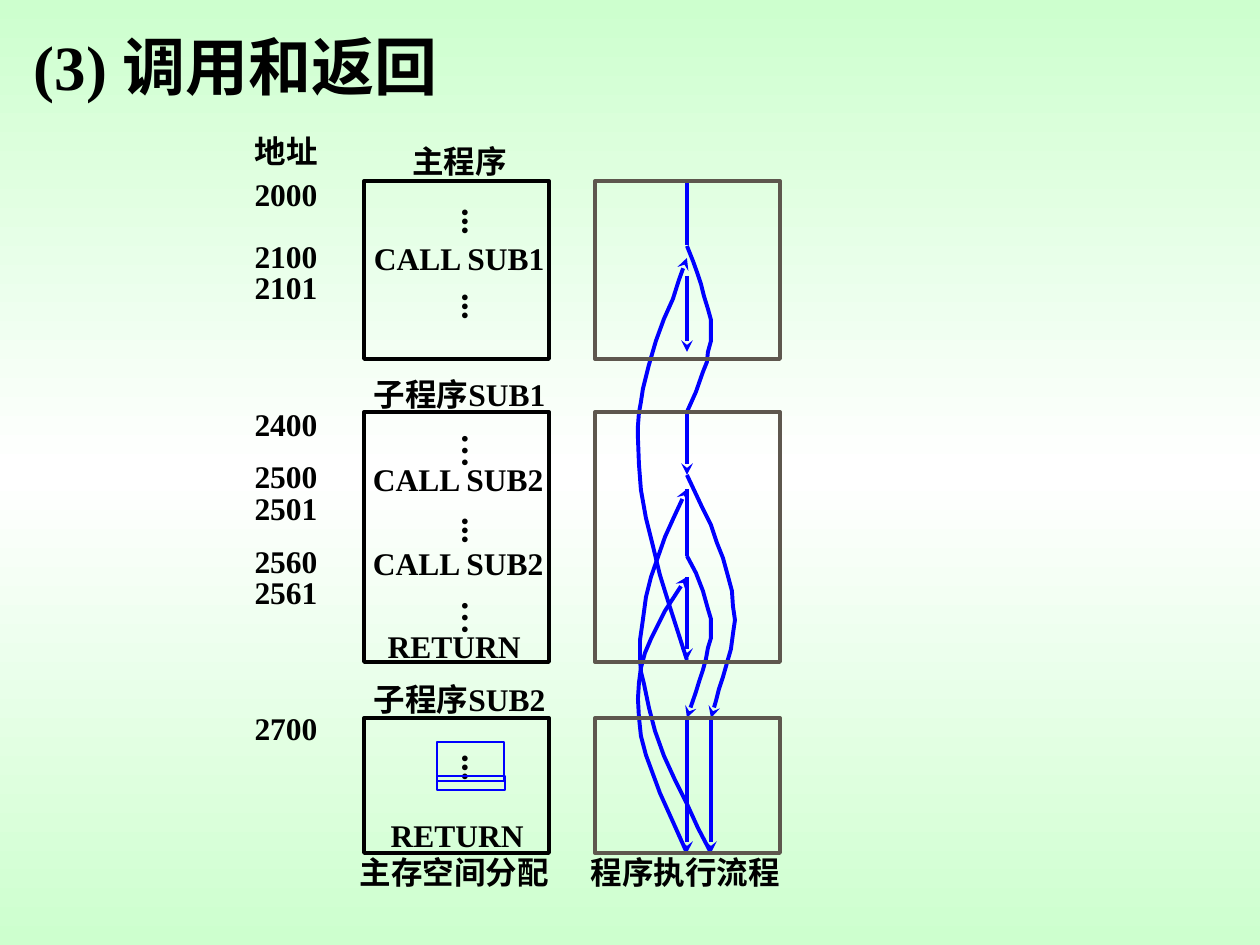
import pptx
import pptx.util
import pptx.oxml
import pptx.oxml.ns
import pptx.dml.color
import pptx.enum.text
import pptx.enum.shapes

PX = 914400 / 126
ALIGN = pptx.enum.text.PP_ALIGN
BLUE, BLACK, BROWN = "0000FF", "000000", "5E574E"


def emu(*sizes):
    return [pptx.util.Emu(round(size * PX)) for size in sizes]


def color(code):
    return pptx.dml.color.RGBColor.from_string(code)


def apply(thing, values):
    for name, value in values.items():
        setattr(thing, name, value)


class Deck:
    font = {"name": "Times New Roman", "bold": True}
    wide = 2.24
    frame = {
        "auto_size": pptx.enum.text.MSO_AUTO_SIZE.NONE,
        "vertical_anchor": pptx.enum.text.MSO_ANCHOR.TOP,
    }

    def __init__(self, width, height):
        self.show = pptx.Presentation()
        self.show.slide_width, self.show.slide_height = emu(width, height)
        self.slide = self.show.slides.add_slide(self.show.slide_layouts[5])
        self.shapes = self.slide.shapes

    def back(self, stops):
        marks = "".join(
            f'<a:gs pos="{pos * 1000}"><a:srgbClr val="{code}"/></a:gs>'
            for pos, code in stops)
        self.slide._element.cSld.insert(0, pptx.oxml.parse_xml(
            f'<p:bg {pptx.oxml.ns.nsdecls("p", "a")}><p:bgPr>'
            f'<a:gradFill rotWithShape="1"><a:gsLst>{marks}</a:gsLst>'
            '<a:lin ang="5400000" scaled="0"/></a:gradFill>'
            '<a:effectLst/></p:bgPr></p:bg>'))

    def fill(self, box, text, size, align, wrap, pads):
        frame = box.text_frame
        sides = ("margin_left", "margin_top", "margin_right", "margin_bottom")
        margins = {side: pptx.util.Inches(pad) for side, pad in zip(sides, pads)}
        apply(frame, {**self.frame, **margins, "word_wrap": wrap})
        para = frame.paragraphs[0]
        para.alignment = align
        run = para.add_run()
        run.text = text
        apply(run.font, {**self.font, "size": pptx.util.Pt(size)})
        run.font.color.rgb = color(BLACK)

    def title(self, text, *place):
        box = self.shapes.title
        apply(box, dict(zip(("left", "top", "width", "height"), emu(*place))))
        self.fill(box, text, 36, ALIGN.LEFT, True, (0.1, 0.05) * 2)

    def label(self, text, left, top, width):
        box = self.shapes.add_textbox(*emu(left, top, width, 50))
        self.fill(box, text, 18, ALIGN.RIGHT, False, (0.1, 0.05) * 2)

    def dots(self, text, left, top, height):
        box = self.shapes.add_textbox(*emu(left, top, 67, height))
        self.fill(box, text, 20, ALIGN.RIGHT, False, (0.05, 0.1) * 2)
        box.text_frame._txBody.bodyPr.set("vert", "eaVert")
        return box

    def edge(self, shape, code, width):
        shape.line.color.rgb = color(code)
        shape.line.width = pptx.util.Pt(width)

    def rect(self, code, width, *place):
        box = self.shapes.add_shape(
            pptx.enum.shapes.MSO_SHAPE.RECTANGLE, *emu(*place))
        box.shadow.inherit = False
        box.fill.background()
        self.edge(box, code, width)

    def tip(self, shape):
        shape.line._get_or_add_ln().append(pptx.oxml.parse_xml(
            f'<a:tailEnd {pptx.oxml.ns.nsdecls("a")} type="stealth"/>'))

    def line(self, x, top, end, head):
        link = self.shapes.add_connector(
            pptx.enum.shapes.MSO_CONNECTOR.STRAIGHT, *emu(x, top, x, end))
        self.edge(link, BLUE, self.wide)
        link._element.spPr.append(pptx.oxml.parse_xml(
            f'<a:effectLst {pptx.oxml.ns.nsdecls("a")}/>'))
        if head:
            self.tip(link)

    def curve(self, points, head):
        pen = self.shapes.build_freeform(*points[0], scale=PX)
        pen.add_line_segments(points[1:], close=False)
        bend = pen.convert_to_shape()
        bend.shadow.inherit = False
        bend.fill.background()
        self.edge(bend, BLUE, self.wide)
        if head:
            self.tip(bend)


deck = Deck(1260, 945)
deck.back([(0, "CDFFCE"), (50, "FFFFFF"), (100, "CDFFCE")])
deck.title("(3) 调用和返回", 21, 21, 718, 88)

# Calls and returns: points along each path, and whether it ends in a head
curves = [
    ([(687, 246), (693, 261), (697, 272), (701, 284), (704, 296), (708, 309),
      (711, 320), (711, 341), (708, 352), (707, 362), (703, 372), (696, 392),
      (687, 412)], False),
    ([(687, 475), (703, 509), (711, 525), (717, 543), (723, 558), (728, 576),
      (732, 591), (733, 606), (735, 620), (733, 634), (731, 649), (727, 663),
      (723, 677), (719, 689), (716, 701), (711, 718)], True),
    ([(687, 556), (696, 573), (703, 591), (708, 609), (711, 619), (711, 638),
      (708, 648), (706, 659), (703, 670), (699, 682), (696, 692),
      (687, 718)], True),
    ([(711, 853), (698, 828), (687, 804), (675, 780), (664, 756), (655, 731),
      (649, 708), (644, 684), (641, 672), (640, 660), (640, 640), (643, 619),
      (646, 597), (651, 577), (658, 557), (665, 537), (674, 517),
      (687, 489)], True),
    ([(687, 853), (669, 813), (660, 793), (653, 774), (646, 755), (641, 736),
      (639, 717), (638, 699), (639, 683), (641, 668), (645, 653), (651, 639),
      (658, 625), (665, 611), (687, 577)], True),
    ([(687, 660), (669, 604), (660, 575), (653, 546), (646, 518), (641, 490),
      (639, 464), (638, 438), (638, 426), (639, 413), (641, 402), (643, 389),
      (649, 365), (656, 341), (664, 319), (673, 299), (679, 280),
      (687, 258)], True),
]
for points, head in curves:
    deck.curve(points, head)

# Straight runs of the program
for x, top, end, head in [
        (687, 181, 245, False), (687, 276, 352, True), (687, 412, 475, True),
        (687, 489, 556, False), (687, 577, 660, True), (687, 718, 853, True),
        (711, 718, 853, True)]:
    deck.line(x, top, end, head)

# Memory blocks on the left, flow blocks on the right
for left, code in [(364, BLACK), (595, BROWN)]:
    for top, height in [(181, 178), (412, 250), (718, 135)]:
        deck.rect(code, deck.wide, left, top, 185, height)

# Addresses
for text, top in [
        ("地址", 126), ("2000", 169), ("2100", 231), ("2101", 262),
        ("2400", 399), ("2500", 451), ("2501", 483), ("2560", 536),
        ("2561", 567), ("2700", 703)]:
    deck.label(text, 242, top, 88)

# Block names, code and captions
for text, left, top, width in [
        ("主程序", 399, 136, 120), ("子程序SUB1", 354, 369, 204),
        ("子程序SUB2", 354, 674, 204), ("CALL SUB1", 359, 233, 198),
        ("CALL SUB2", 358, 454, 198), ("CALL SUB2", 358, 538, 198),
        ("RETURN", 375, 621, 158), ("RETURN", 378, 810, 158),
        ("主存空间分配", 347, 847, 214), ("程序执行流程", 578, 847, 214)]:
    deck.label(text, left, top, width)

# Skipped code
for text, top, height in [
        ("...", 196, 39), ("...", 281, 39), ("…", 421, 48),
        ("...", 505, 39), ("…", 588, 48)]:
    deck.dots(text, 437, top, height)
deck.edge(deck.dots("...", 437, 742, 39), BLUE, 0.74)
deck.rect(BLUE, 0.74, 437, 776, 68, 14)

deck.show.save("out.pptx")
